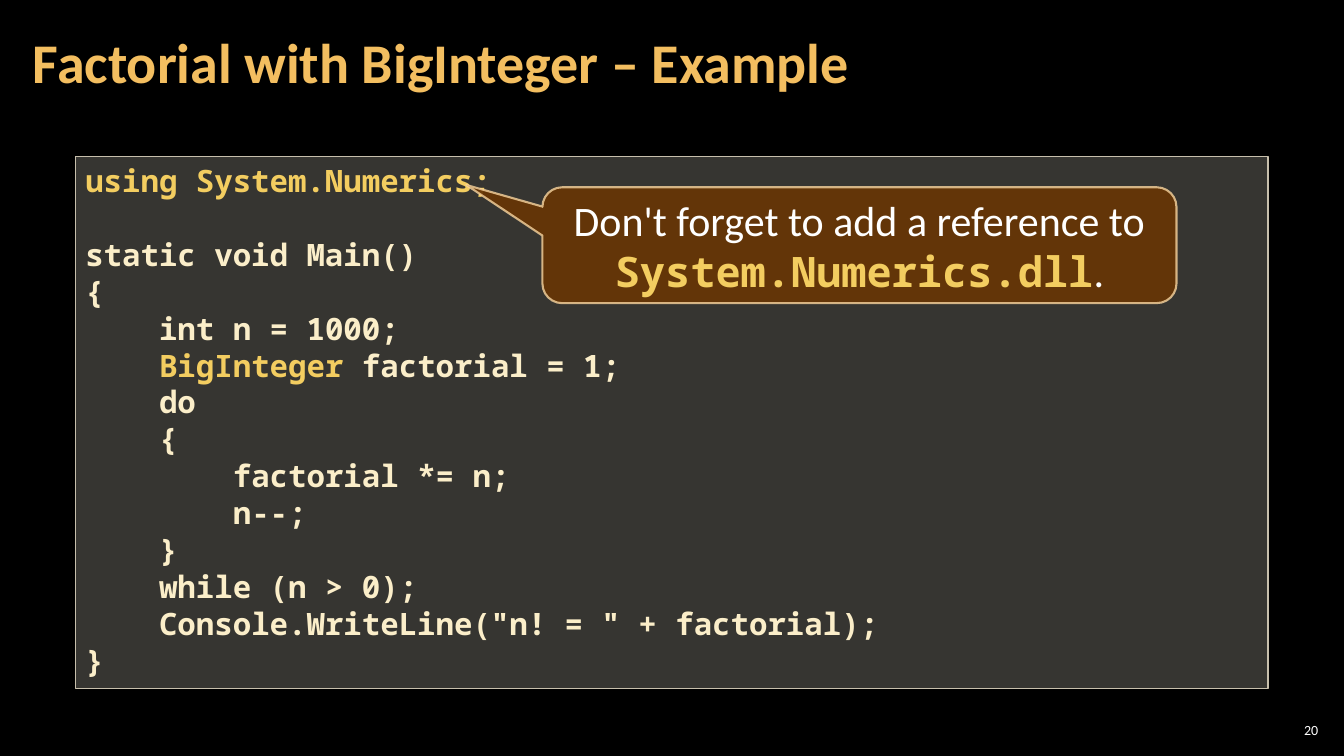
from dataclasses import dataclass

from lxml.etree import SubElement
from pptx import Presentation
from pptx.dml.color import RGBColor
from pptx.enum.shapes import MSO_SHAPE
from pptx.enum.text import MSO_ANCHOR, PP_ALIGN
from pptx.oxml.ns import qn
from pptx.util import Cm, Pt


@dataclass(frozen=True)
class Theme:
    # Colours
    back: str = "000000"
    title: str = "F3BE60"
    code: str = "FBEEC9"
    accent: str = "F3CD60"
    white: str = "FFFFFF"
    panel: str = "D9D5C7"
    edge: str = "C7BFAC"
    note: str = "663606"
    rim: str = "F8D49E"
    # Fonts, sizes and code layout
    sans: str = "Calibri"
    mono: str = "Noto Sans Mono"
    big: int = 40
    mid: int = 30
    small: int = 22
    tiny: int = 10
    pitch: float = 26.4
    tab: float = 1.86


def apply(target, values):
    for name, value in values.items():
        setattr(target, name, value)


class Deck:
    def __init__(self, theme):
        self.theme = theme
        self.show = Presentation()
        apply(self.show, {"slide_width": Cm(33.87), "slide_height": Cm(19.05)})
        self.slide = self.show.slides.add_slide(self.show.slide_layouts[5])
        self.paint(self.slide.background.fill, theme.back)

    def paint(self, fill, tint, alpha=100):
        fill.solid()
        fill.fore_color.rgb = RGBColor.from_string(tint)
        if alpha < 100:
            node = fill._xPr.find(qn("a:solidFill"))[0]
            SubElement(node, qn("a:alpha")).set("val", str(alpha * 1000))

    def place(self, shape, box):
        names = ("left", "top", "width", "height")
        apply(shape, dict(zip(names, map(Cm, box))))

    def frame(self, shape, anchor, side=0.25, edge=0.13):
        apply(shape.text_frame, {
            "word_wrap": True, "vertical_anchor": anchor,
            "margin_left": Cm(side), "margin_right": Cm(side),
            "margin_top": Cm(edge), "margin_bottom": Cm(edge)})
        return shape.text_frame

    def label(self, para, text, tint, size, face, bold=False):
        run = para.add_run()
        run.text = text
        apply(run.font, {"size": Pt(size), "name": face, "bold": bold})
        run.font.color.rgb = RGBColor.from_string(tint)

    def shape(self, kind, box, fill, line):
        shape = self.slide.shapes.add_shape(kind, *map(Cm, box))
        shape.shadow.inherit = False
        self.paint(shape.fill, *fill)
        tint, width, alpha = line
        self.paint(shape.line.fill, tint, alpha)
        shape.line.width = Pt(width)
        return shape

    def title(self, text, box):
        shape = self.slide.shapes.title
        self.place(shape, box)
        para = self.frame(shape, MSO_ANCHOR.MIDDLE, 0.3, 0.1).paragraphs[0]
        apply(para, {"alignment": PP_ALIGN.LEFT, "line_spacing": 0.9})
        t = self.theme
        self.label(para, text, t.title, t.big, t.sans, True)

    def code(self, lines, box):
        t = self.theme
        shape = self.shape(MSO_SHAPE.RECTANGLE, box, (t.panel, 25), (t.edge, 1, 100))
        frame = self.frame(shape, MSO_ANCHOR.TOP)
        for i, (level, gap, parts) in enumerate(lines):
            para = frame.add_paragraph() if i else frame.paragraphs[0]
            apply(para, {"alignment": PP_ALIGN.LEFT, "line_spacing": Pt(t.pitch),
                         "space_before": Pt(gap * t.pitch)})
            para._p.get_or_add_pPr().set("marL", str(int(Cm(level * t.tab))))
            for text, tint in parts:
                self.label(para, text, tint, t.small, t.mono, True)

    def callout(self, parts, box, tip):
        t = self.theme
        shape = self.shape(MSO_SHAPE.ROUNDED_RECTANGULAR_CALLOUT, box,
                           (t.note, 95), (t.rim, 1.5, 80))
        for i, value in enumerate(tip):
            shape.adjustments[i] = value
        para = self.frame(shape, MSO_ANCHOR.MIDDLE).paragraphs[0]
        para.alignment = PP_ALIGN.CENTER
        for text, tint, face, bold in parts:
            self.label(para, text, tint, t.mid, face, bold)

    def number(self, text, box):
        shape = self.slide.shapes.add_textbox(*map(Cm, box))
        para = self.frame(shape, MSO_ANCHOR.MIDDLE, 0.1, 0.1).paragraphs[0]
        para.alignment = PP_ALIGN.RIGHT
        t = self.theme
        self.label(para, text, t.white, t.tiny, t.sans)


def main():
    t = Theme()
    deck = Deck(t)

    # Heading
    deck.title("Factorial with BigInteger – Example", (0.53, 0.1, 26.14, 3.07))

    # Code panel: indent level, blank lines above, coloured parts
    deck.code([
        (0, 0, [("using System.Numerics;", t.accent)]),
        (0, 1, [("static void Main()", t.code)]),
        (0, 0, [("{", t.code)]),
        (1, 0, [("int n = 1000;", t.code)]),
        (1, 0, [("BigInteger", t.accent), (" factorial = 1;", t.code)]),
        (1, 0, [("do", t.code)]),
        (1, 0, [("{", t.code)]),
        (2, 0, [("factorial *= n;", t.code)]),
        (2, 0, [("n--;", t.code)]),
        (1, 0, [("}", t.code)]),
        (1, 0, [("while (n > 0);", t.code)]),
        (1, 0, [('Console.WriteLine("n! = " + factorial);', t.code)]),
        (0, 0, [("}", t.code)]),
    ], (1.9, 3.94, 30.06, 13.41))

    # Reminder pointing at the first line
    deck.callout([
        ("Don't forget to add a reference to ", t.white, t.sans, False),
        ("System.Numerics.dll", t.accent, t.mono, True),
        (".", t.white, t.sans, False),
    ], (13.67, 4.72, 15.98, 2.92), (-0.62, -0.52, 0.17))

    # Page number
    deck.number("20", (32.13, 18.14, 1.19, 0.53))
    deck.show.save("out.pptx")


if __name__ == "__main__":
    main()
